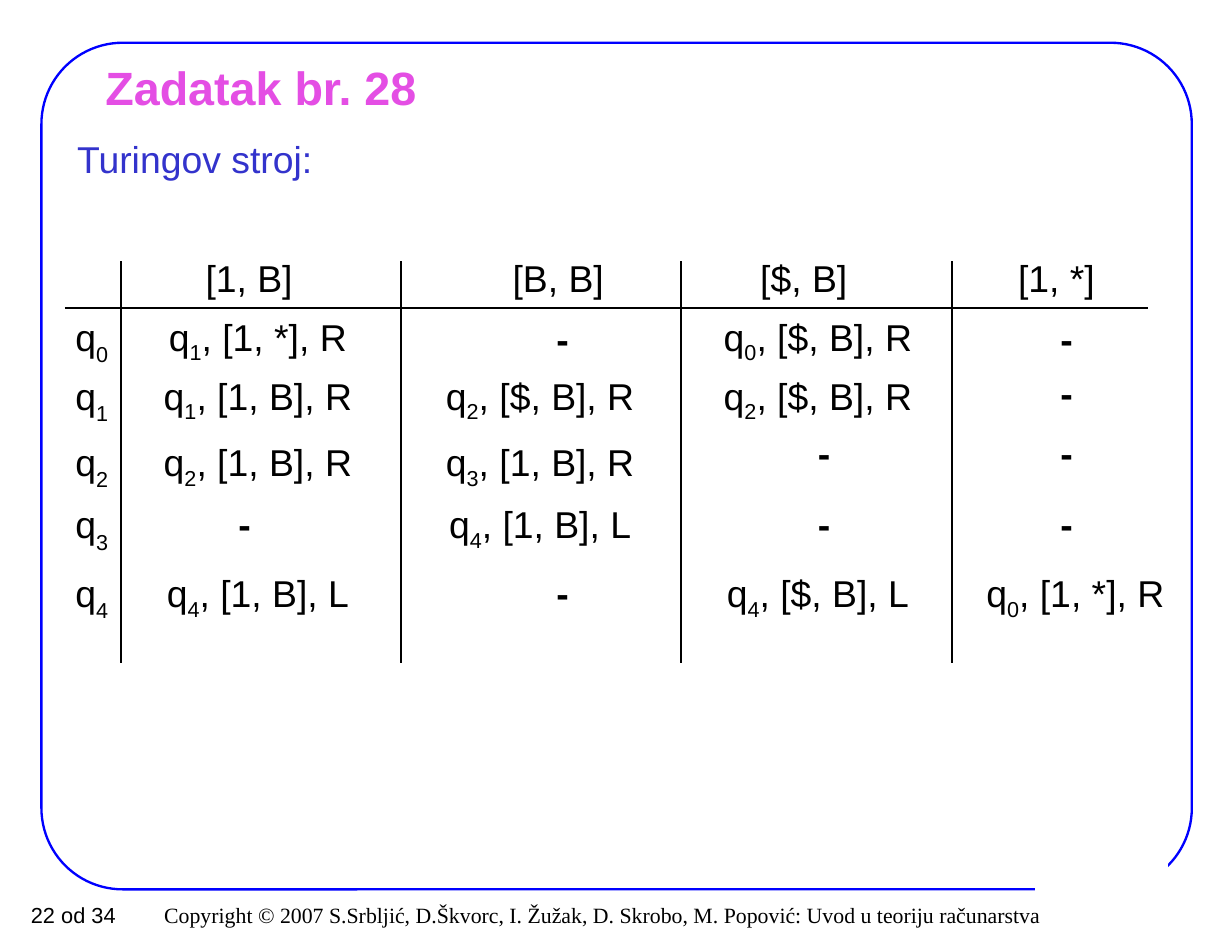
from lxml.etree import SubElement
from pptx import Presentation
from pptx.dml.color import RGBColor
from pptx.enum.shapes import MSO_CONNECTOR, MSO_SHAPE
from pptx.enum.text import MSO_ANCHOR, PP_ALIGN
from pptx.oxml.ns import qn
from pptx.util import Cm, Pt

COLORS = {
    "frame": "0000FF",
    "paper": "FFFFFF",
    "title": "E44EE4",
    "subtitle": "3333CC",
    "ink": "000000",
}

# Transition table: one row per state, one column per pair of tape symbols
SYMBOLS = ["[1, B]", "[B, B]", "[$, B]", "[1, *]"]
TRANSITIONS = {
    "q0": ["q1, [1, *], R", "-", "q0, [$, B], R", "-"],
    "q1": ["q1, [1, B], R", "q2, [$, B], R", "q2, [$, B], R", "-"],
    "q2": ["q2, [1, B], R", "q3, [1, B], R", "-", "-"],
    "q3": ["-", "q4, [1, B], L", "-", "-"],
    "q4": ["q4, [1, B], L", "-", "q4, [$, B], L", "q0, [1, *], R"],
}

# Table geometry in centimetres
HEADER_TOP = 5.66
ROW_TOPS = [6.99, 8.33, 9.84, 11.25, 12.81]
DASH_TOPS = [7.05, 8.26, 9.63, 11.25, 12.8]
STATE_CENTER = 2.08
HEADER_CENTERS = [5.65, 12.66, 18.23, 23.96]
CELL_CENTERS = [5.85, 12.25, 18.55, 24.39]
DASH_CENTERS = [5.55, 12.76, 18.69, 24.19]
COLUMN_LINES = [2.74, 9.09, 15.44, 21.59]
CELL_WIDTH, STATE_WIDTH, CELL_HEIGHT = 6, 1.63, 1


def color(name):
    return RGBColor.from_string(COLORS[name])


def format_run(run, size, color_name="ink", font="Arial", bold=False):
    run.font.size = Pt(size)
    run.font.name = font
    run.font.bold = bold
    run.font.color.rgb = color(color_name)


def add_text(slide, left, top, width, height, text, size,
             align=PP_ALIGN.LEFT, anchor=MSO_ANCHOR.TOP, **style):
    shape = slide.shapes.add_textbox(Cm(left), Cm(top), Cm(width), Cm(height))
    text_frame = shape.text_frame
    text_frame.word_wrap = True
    text_frame.vertical_anchor = anchor
    text_frame.text = text
    paragraph = text_frame.paragraphs[0]
    paragraph.alignment = align
    format_run(paragraph.runs[0], size, **style)
    return paragraph


def add_cell(slide, center, top, text, width=CELL_WIDTH, baseline=-25000):
    """Centred cell; the digit after a leading q becomes a subscript."""
    is_state = text.startswith("q")
    paragraph = add_text(slide, center - width / 2, top, width, CELL_HEIGHT,
                         "q" if is_state else text, 24,
                         align=PP_ALIGN.CENTER, bold=text == "-")
    if is_state:
        for part in filter(None, (text[1], text[2:])):
            run = paragraph.add_run()
            run.text = part
            format_run(run, 24)
        paragraph.runs[1].font._element.set("baseline", str(baseline))


def add_line(slide, start, end):
    line = slide.shapes.add_connector(
        MSO_CONNECTOR.STRAIGHT, *(Cm(value) for value in start + end))
    line.line.color.rgb = color("ink")
    line.line.width = Pt(1)
    SubElement(line._element.spPr, qn("a:effectLst"))


def add_box(slide, preset, left, top, width, height, line_color, line_width):
    shape = slide.shapes.add_shape(
        preset, Cm(left), Cm(top), Cm(width), Cm(height))
    shape.shadow.inherit = False
    shape.fill.background()
    shape.line.color.rgb = color(line_color)
    shape.line.width = Pt(line_width)
    return shape


def add_frame_and_footer(slide):
    frame = add_box(slide, MSO_SHAPE.ROUNDED_RECTANGLE,
                    0.94, 0.97, 26.09, 19.2, "frame", 1.5)
    frame.adjustments[0] = 0.096
    # White patch that interrupts the frame at the bottom right
    patch = add_box(slide, MSO_SHAPE.RECTANGLE,
                    23.5, 19.48, 2.97, 1.27, "paper", 1)
    patch.fill.solid()
    patch.fill.fore_color.rgb = color("paper")
    credit = add_text(
        slide, 0.43, 20.32, 23.44, 0.86,
        "Copyright © 2007 S.Srbljić, D.Škvorc, I. Žužak, D. Skrobo, "
        "M. Popović: Uvod u teoriju računarstva",
        14, align=PP_ALIGN.RIGHT, anchor=MSO_ANCHOR.MIDDLE,
        font="Times New Roman")
    credit.space_before = Pt(8.8)
    add_text(slide, 0, 20.32, 3.33, 0.86, "22 od 34", 14,
             align=PP_ALIGN.CENTER)


def add_title(slide, text):
    title = slide.shapes.title
    title.left, title.top = Cm(2.11), Cm(1.27)
    title.width, title.height = Cm(23.75), Cm(1.4)
    text_frame = title.text_frame
    text_frame.text = text
    text_frame.vertical_anchor = MSO_ANCHOR.MIDDLE
    text_frame.margin_left = text_frame.margin_right = Cm(0.28)
    text_frame.margin_top = text_frame.margin_bottom = Cm(0.15)
    paragraph = text_frame.paragraphs[0]
    paragraph.alignment = PP_ALIGN.LEFT
    format_run(paragraph.runs[0], 30, "title", bold=True)


def add_transition_table(slide):
    # Rules
    add_line(slide, (1.47, 6.99), (26.04, 6.99))
    for x in COLUMN_LINES:
        add_line(slide, (x, 5.92), (x, 15.04))
    # Symbols, states and transitions
    for center, symbol in zip(HEADER_CENTERS, SYMBOLS):
        add_cell(slide, center, HEADER_TOP, symbol)
    for row, (state, cells) in enumerate(TRANSITIONS.items()):
        add_cell(slide, STATE_CENTER, ROW_TOPS[row], state,
                 width=STATE_WIDTH, baseline=-30000)
        for column, text in enumerate(cells):
            if text == "-":
                add_cell(slide, DASH_CENTERS[column], DASH_TOPS[row], text)
            else:
                add_cell(slide, CELL_CENTERS[column], ROW_TOPS[row], text)


def main():
    presentation = Presentation()
    presentation.slide_width, presentation.slide_height = Cm(27.94), Cm(21.59)
    slide = presentation.slides.add_slide(presentation.slide_layouts[5])
    add_frame_and_footer(slide)
    add_title(slide, "Zadatak br. 28")
    add_text(slide, 1.5, 2.97, 6, 1.27, "Turingov stroj:", 24,
             anchor=MSO_ANCHOR.MIDDLE, color_name="subtitle")
    add_transition_table(slide)
    presentation.save("out.pptx")


if __name__ == "__main__":
    main()
